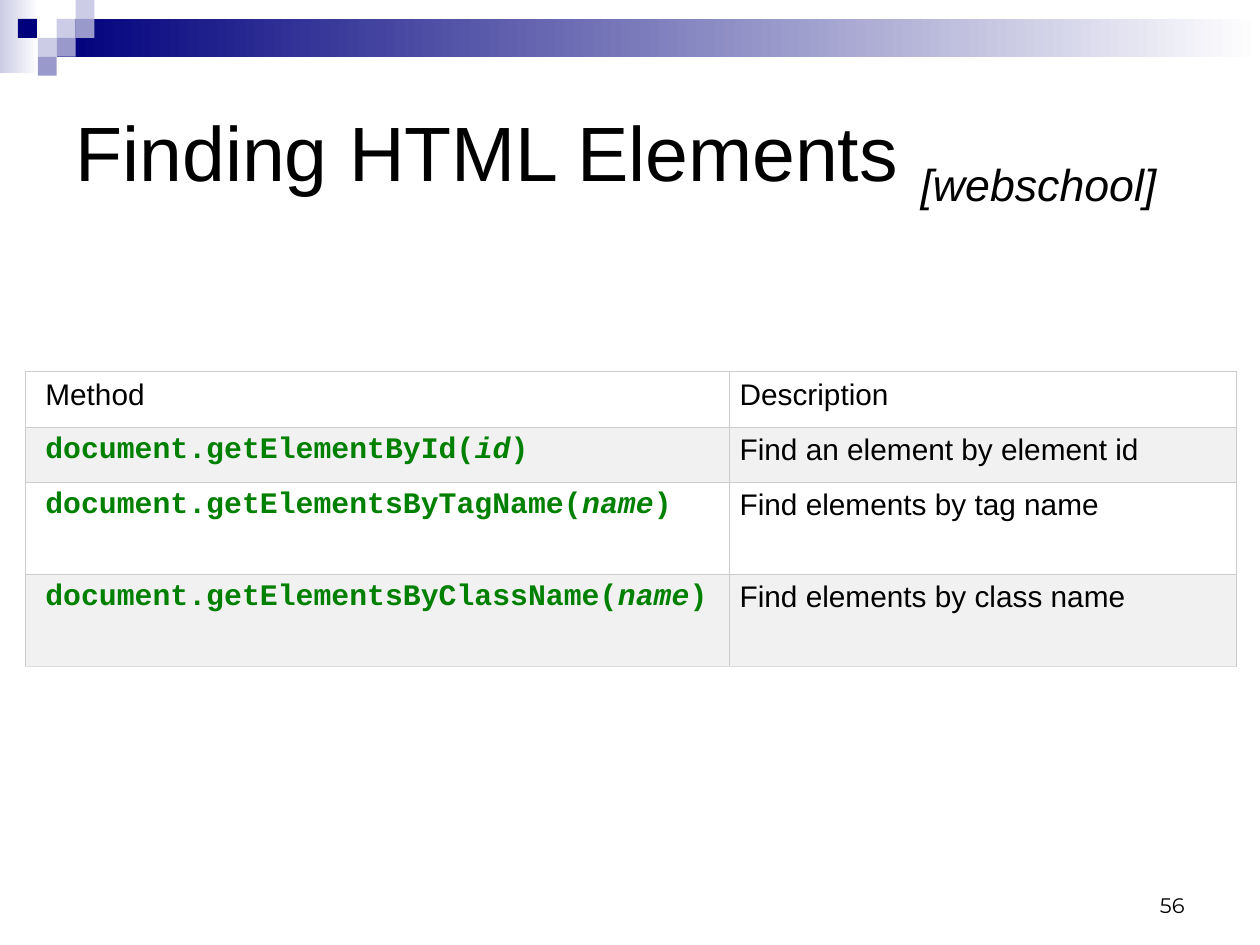
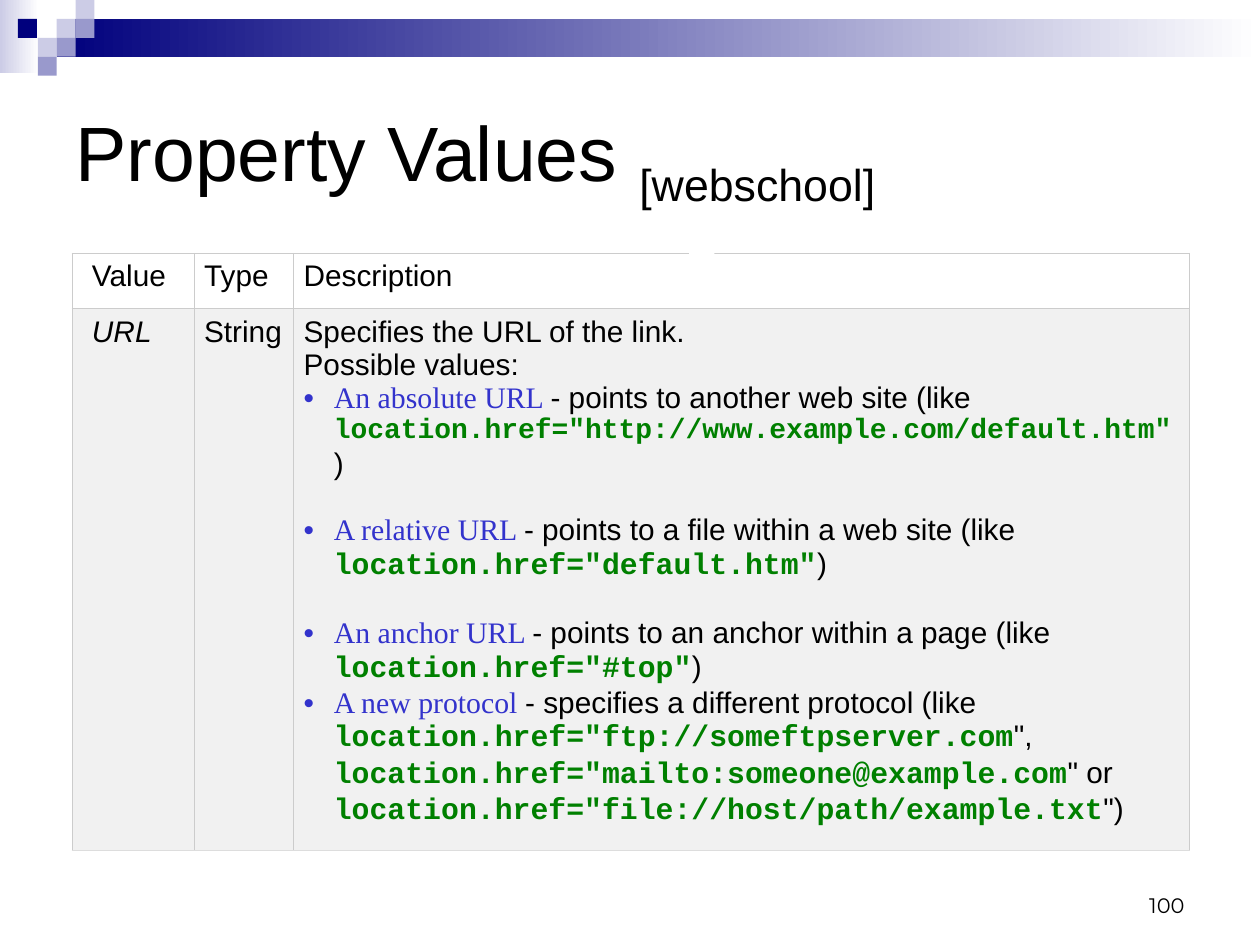
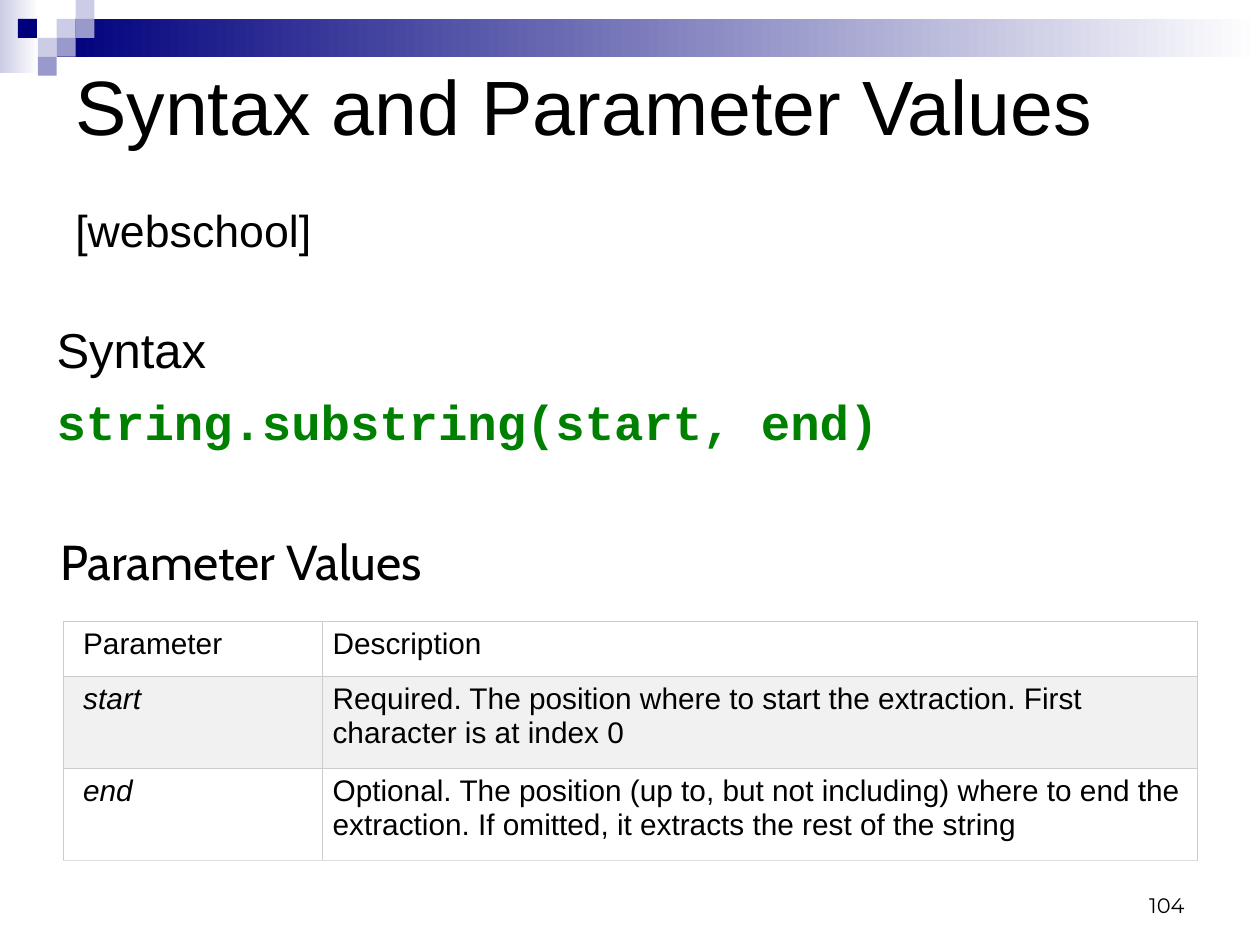
from pptx import Presentation
from pptx.dml.color import RGBColor as Rgb
from pptx.enum.shapes import MSO_SHAPE as Kind
from pptx.enum.text import MSO_ANCHOR as Anchor, PP_ALIGN as Align
from pptx.oxml.ns import qn
from pptx.util import Inches, Pt
from lxml.etree import SubElement as Sub

COLS, ROWS = 10, 7.5     # page grid of one-inch units
UNIT = 0.15              # side of one square in the corner motif
INSET = (0.1, 0.05, 0.1, 0.05)
HUES = {"ink": "000000", "paper": "FFFFFF", "navy": "00007D",
        "mid": "9999CC", "pale": "CCCCE6", "code": "008000",
        "link": "3333CC", "band": "F1F1F1", "rule": "CCCCCC",
        "foot": "DDDDDD"}

# Text styles: font, colour, bold, italic
STYLES = {"body": ("Arial", "ink", False, False),
          "slant": ("Arial", "ink", False, True),
          "code": ("Courier New", "code", True, False),
          "var": ("Courier New", "code", True, True),
          "link": ("Times New Roman", "link", False, False),
          "page": ("Montserrat", "ink", False, False),
          "head": ("Cabin", "ink", False, False)}

# Corner squares: column, row, colour
SQUARES = [(3, 1, "pale"), (4, 0, "pale"), (4, 1, "mid"), (2, 2, "pale"),
           (0.95, 1, "navy"), (3, 2, "mid"), (2, 3, "mid")]
SOURCE = "[webschool]"


def hue(name):
    return Rgb.from_string(HUES[name])


def spot(*nums):
    return [Inches(n) for n in nums]


# Text
def add_run(para, text, style="body", size=17):
    run = para.add_run()
    run.text = text
    font = run.font
    font.name, tint, font.bold, font.italic = STYLES[style]
    font.size, font.color.rgb = Pt(size), hue(tint)
    return run


def set_frame(frame, anchor, inset):
    frame.word_wrap = True
    frame.vertical_anchor = anchor
    (frame.margin_left, frame.margin_top,
     frame.margin_right, frame.margin_bottom) = spot(*inset)
    return frame.paragraphs[0]


def add_text(slide, place, text, style, size, anchor=Anchor.TOP):
    box = slide.shapes.add_textbox(*spot(*place))
    para = set_frame(box.text_frame, anchor, INSET)
    add_run(para, text, style, size)
    return para


def add_bullet(para):
    props = para._p.get_or_add_pPr()
    step = Inches(0.24)
    props.set("marL", str(step))
    props.set("indent", str(-step))
    Sub(Sub(props, qn("a:buClr")), qn("a:srgbClr"), val=HUES["link"])
    Sub(props, qn("a:buFont"), typeface="Arial")
    Sub(props, qn("a:buChar"), char="•")


# Shapes
def add_rect(slide, place, tint, fade=False):
    rect = slide.shapes.add_shape(Kind.RECTANGLE, *spot(*place))
    rect.shadow.inherit = False
    rect.line.fill.background()
    if fade:
        rect.fill.gradient()
        rect.fill.gradient_angle = 0
        for stop, end, name in zip(rect.fill.gradient_stops, (0, 1),
                                   (tint, "paper")):
            stop.position, stop.color.rgb = end, hue(name)
    else:
        rect.fill.solid()
        rect.fill.fore_color.rgb = hue(tint)
    return rect


# Tables: a cell is a text, a list of runs, or a list of paragraphs
def add_edges(cell, last):
    props = cell._tc.get_or_add_tcPr()
    for side in "LRTB":
        line = Sub(props, qn("a:ln" + side), w=str(Pt(0.34)))
        tint = "foot" if last and side == "B" else "rule"
        Sub(Sub(line, qn("a:solidFill")), qn("a:srgbClr"), val=HUES[tint])


def fill_cell(cell, paras):
    if isinstance(paras, str):
        paras = [[(paras,)]]
    elif isinstance(paras[0], tuple):
        paras = [paras]
    for i, runs in enumerate(paras):
        para = cell.text_frame.paragraphs[0] if i == 0 \
            else cell.text_frame.add_paragraph()
        if isinstance(runs, dict):
            if runs["gap"]:
                para.space_after = Pt(runs["gap"])
            add_bullet(para)
            runs = runs["runs"]
        for run in runs:
            add_run(para, *run)


def add_grid(slide, left, top, wide, high, rows):
    table = slide.shapes.add_table(
        len(high), len(wide),
        *spot(left, top, sum(wide), sum(high))).table
    table.first_row = table.horz_banding = False
    for col, width in zip(table.columns, wide):
        col.width = Inches(width)
    for r, row in enumerate(rows):
        table.rows[r].height = Inches(high[r])
        for c, paras in enumerate(row):
            cell = table.cell(r, c)
            add_edges(cell, r == len(rows) - 1)
            cell.fill.solid()
            cell.fill.fore_color.rgb = hue("band" if r % 2 else "paper")
            cell.margin_left = Inches(0.08 if c else 0.16)
            cell.margin_right = Inches(0.08)
            cell.margin_top = cell.margin_bottom = Inches(0.05)
            fill_cell(cell, paras)


# What every slide shares: motif, band, title, page number
def add_page(deck, title, number, style="body"):
    slide = deck.slides.add_slide(deck.slide_layouts[6])
    add_rect(slide, (0, 0, 0.31, 0.58), "pale", fade=True)
    add_rect(slide, (3 * UNIT, UNIT, COLS - 3 * UNIT, 2 * UNIT),
             "navy", fade=True)
    for col, row, tint in SQUARES:
        add_rect(slide, (col * UNIT, row * UNIT, UNIT, UNIT), tint)
    para = add_text(slide, (0.5, 0.5, 9.3, 1.5), title + " ", "body", 44,
                    Anchor.MIDDLE)
    low = add_run(para, SOURCE, style, 44)
    low.font._element.set("baseline", "-25000")
    para = add_text(slide, (7.17, 6.83, 2.33, 0.5), str(number), "page", 12,
                    Anchor.BOTTOM)
    para.alignment = Align.RIGHT
    return slide


def call(name, arg):
    return [(f"document.{name}(", "code"), (arg, "var"), (")", "code")]


def point(name, text, *tail, gap=0):
    runs = [(name + " ", "link"), (f"- {text} (like ",), *tail]
    return {"runs": runs, "gap": gap}


def href(text, size=17):
    return (f'location.href="{text}', "code", size)


def show_find(deck):
    slide = add_page(deck, "Finding HTML Elements", 56, "slant")
    add_grid(slide, 0.2, 2.95, (5.59, 4.02), (0.44, 0.44, 0.73, 0.73), [
        ("Method", "Description"),
        (call("getElementById", "id"), "Find an element by element id"),
        (call("getElementsByTagName", "name"), "Find elements by tag name"),
        (call("getElementsByClassName", "name"),
         "Find elements by class name")])


def show_values(deck):
    slide = add_page(deck, "Property Values", 100)
    notes = [
        [("Specifies the URL of the link.",)],
        [("Possible values:",)],
        point("An absolute URL", "points to another web site",
              href('http://www.example.com/default.htm" ', 16), (")",),
              gap=19),
        point("A relative URL", "points to a file within a web site",
              href('default.htm"'), (")",), gap=19),
        point("An anchor URL", "points to an anchor within a page",
              href('#top"'), (")",)),
        point("A new protocol", "specifies a different protocol",
              href("ftp://someftpserver.com"), ('", ',),
              href("mailto:someone@example.com"), ('" or ',),
              href("file://host/path/example.txt"), ('")',))]
    add_grid(slide, 0.57, 2.01, (0.97, 0.79, 7.11), (0.44, 4.12), [
        ("Value", "Type", "Description"),
        ([("URL", "slant")], "String", notes)])
    # White patch over the top rule
    add_rect(slide, (5.47, 1.79, 0.2, 0.47), "paper")


def show_syntax(deck):
    slide = add_page(deck, "Syntax and Parameter Values", 104)
    add_grid(slide, 0.5, 4.93, (2.06, 6.94), (0.44, 0.73, 0.73), [
        ("Parameter", "Description"),
        ([("start", "slant")],
         "Required. The position where to start the extraction. "
         "First character is at index 0"),
        ([("end", "slant")],
         "Optional. The position (up to, but not including) where to end "
         "the extraction. If omitted, it extracts the rest of the string")])
    head = add_rect(slide, (0.48, 4.02, 6.73, 0.86), "paper")
    para = set_frame(head.text_frame, Anchor.MIDDLE, (0, 0.2, 0, 0.2))
    para.alignment = Align.LEFT
    add_run(para, "Parameter Values", "head", 28)
    add_text(slide, (0.35, 2.49, 6.49, 0.57), "Syntax", "body", 28)
    add_text(slide, (0.35, 3.06, 8.52, 0.57),
             "string.substring(start, end)", "code", 28)


def main():
    deck = Presentation()
    deck.slide_width, deck.slide_height = spot(COLS, ROWS)
    for show in (show_find, show_values, show_syntax):
        show(deck)
    deck.save("out.pptx")


main()
